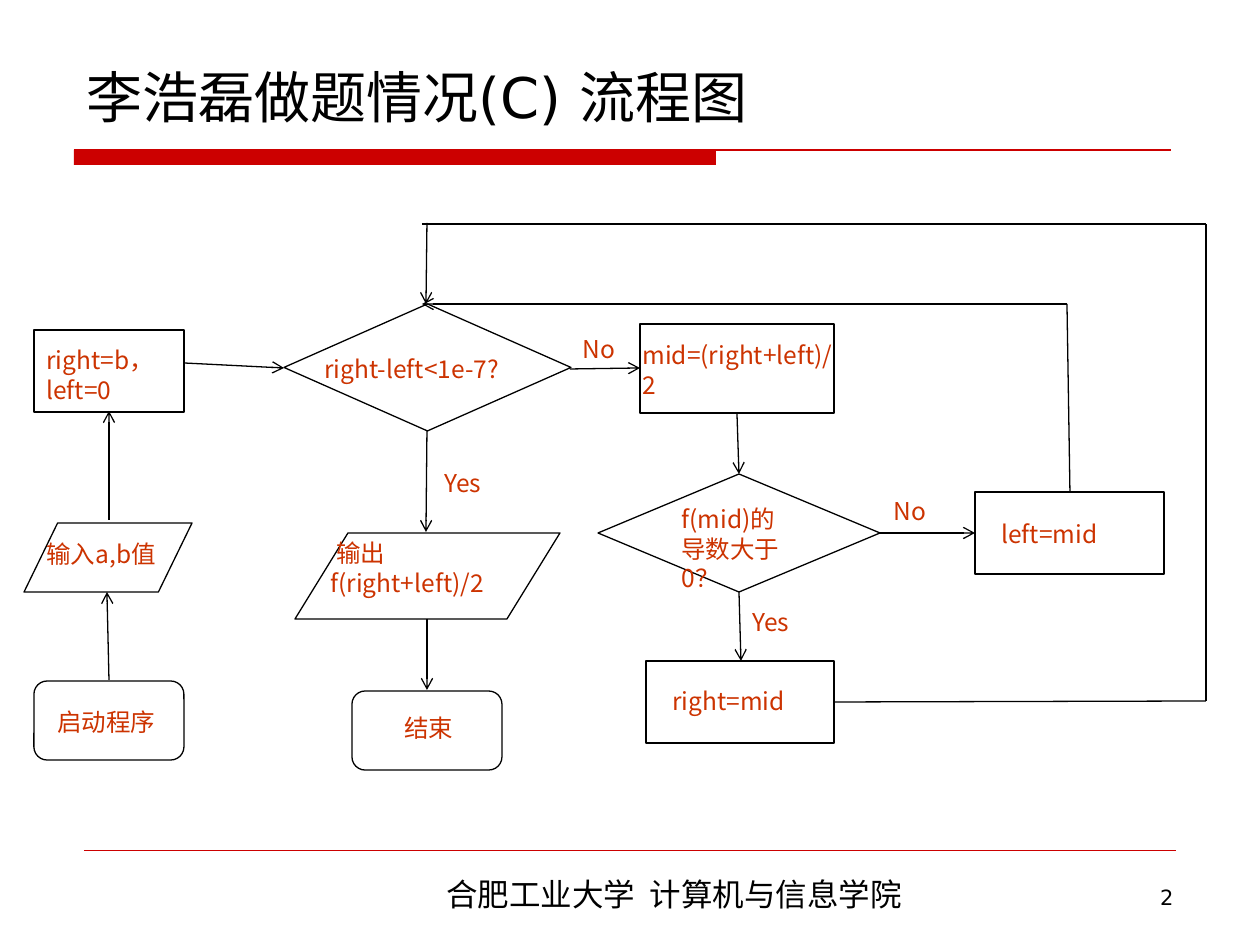
"""Builds a flowchart slide for a bisection program."""
from lxml import etree
from pptx import Presentation
from pptx.dml.color import RGBColor
from pptx.enum.shapes import MSO_CONNECTOR, MSO_SHAPE
from pptx.enum.text import MSO_ANCHOR, MSO_AUTO_SIZE, PP_ALIGN
from pptx.oxml.ns import qn
from pptx.util import Emu, Pt

STRAIGHT = MSO_CONNECTOR.STRAIGHT
RECTANGLE = MSO_SHAPE.RECTANGLE
DECISION = MSO_SHAPE.FLOWCHART_DECISION
TERMINAL = MSO_SHAPE.FLOWCHART_ALTERNATE_PROCESS
DATA = MSO_SHAPE.FLOWCHART_DATA
TOP, BOTTOM = MSO_ANCHOR.TOP, MSO_ANCHOR.BOTTOM
LEFT, CENTER, RIGHT = PP_ALIGN.LEFT, PP_ALIGN.CENTER, PP_ALIGN.RIGHT
FIT, FIXED = MSO_AUTO_SIZE.SHAPE_TO_FIT_TEXT, MSO_AUTO_SIZE.NONE

BLACK, WHITE, RED, ORANGE = "000000", "FFFFFF", "CC0000", "CC3300"
CJK_FONT, LATIN_FONT = "Noto Sans CJK SC", "DejaVu Sans"
ONE_LINE, TWO_LINES = 43, 72

NODES = [
    (RECTANGLE, 34, 330, 150, 82, None),
    (DECISION, 284, 304, 287, 127, None),
    (TERMINAL, 34, 681, 150, 79, WHITE),
    (TERMINAL, 352, 691, 150, 79, WHITE),
    (RECTANGLE, 640, 324, 194, 89, None),
    (DECISION, 598, 474, 282, 118, None),
    (RECTANGLE, 646, 661, 188, 82, None),
    (RECTANGLE, 975, 492, 189, 82, None),
    (DATA, 24, 523, 168, 69, None),
    (DATA, 295, 533, 265, 86, None),
]
ARROWS = [
    (109, 520, 109, 411),
    (184, 363, 284, 368),
    (109, 680, 107, 592),
    (427, 431, 426, 532),
    (427, 619, 427, 690),
    (570, 369, 640, 368),
    (739, 592, 741, 661),
    (737, 413, 739, 474),
    (880, 533, 975, 533),
    (427, 223, 426, 304),
    (1067, 304, 422, 304),
]
RETURN_LINES = [
    (422, 224, 1206, 224),
    (834, 702, 1206, 701),
    (1206, 701, 1206, 224),
    (1070, 492, 1067, 304),
]
LABELS = [
    ("输入a,b值", 34, 533, 203, ONE_LINE),
    ("right=b，left=0", 34, 339, 158, TWO_LINES),
    ("right-left<1e-7?", 312, 348, 257, ONE_LINE),
    ("启动程序", 45, 701, 139, ONE_LINE),
    ("Yes", 432, 462, 93, ONE_LINE),
    ("结束", 392, 707, 123, ONE_LINE),
    ("No", 570, 328, 79, ONE_LINE),
    ("mid=(right+left)/2", 630, 334, 218, TWO_LINES),
    ("f(mid)的\n导数大于0？", 669, 498, 158, TWO_LINES),
    ("right=mid", 660, 680, 161, ONE_LINE),
    ("left=mid", 989, 513, 163, ONE_LINE),
    ("Yes", 740, 601, 93, ONE_LINE),
    ("No", 881, 490, 93, ONE_LINE),
]


def px(length):
    return Emu(round(length * 914400 / 126))


def color(value):
    return RGBColor.from_string(value)


class FlowchartSlide:
    """Holds the drawing style and the current slide."""

    def __init__(self, slide, font=CJK_FONT, size=14, ink=ORANGE, stroke=BLACK):
        self.slide = slide
        self.font, self.size, self.ink, self.stroke = font, size, ink, stroke

    def text(self, text, left, top, width, height, size=None, font=None, ink=None,
             align=LEFT, anchor=TOP, fit=FIT, indent=0):
        box = self.slide.shapes.add_textbox(px(left), px(top), px(width), px(height))
        frame = box.text_frame
        frame.word_wrap = True
        frame.auto_size = fit
        frame.vertical_anchor = anchor
        frame.text = text
        for paragraph in frame.paragraphs:
            paragraph.alignment = align
            if indent:
                paragraph._p.get_or_add_pPr().set("indent", str(px(indent)))
            for run in paragraph.runs:
                run.font.size = Pt(size or self.size)
                run.font.color.rgb = color(ink or self.ink)
                run.font.name = font or self.font
                east_asian = etree.SubElement(run._r.get_or_add_rPr(), qn("a:ea"))
                east_asian.set("typeface", CJK_FONT)

    def shape(self, kind, left, top, width, height, fill=None, outlined=True):
        shape = self.slide.shapes.add_shape(kind, px(left), px(top), px(width), px(height))
        shape.shadow.inherit = False
        if fill:
            shape.fill.solid()
            shape.fill.fore_color.rgb = color(fill)
        else:
            shape.fill.background()
        if outlined:
            shape.line.color.rgb = color(self.stroke)
            shape.line.width = Pt(0.75)
        else:
            shape.line.fill.background()

    def line(self, x1, y1, x2, y2, stroke=None, width=0.75, arrow=False):
        connector = self.slide.shapes.add_connector(STRAIGHT, px(x1), px(y1), px(x2), px(y2))
        connector.line.color.rgb = color(stroke or self.stroke)
        connector.line.width = Pt(width)
        if arrow:
            etree.SubElement(connector.line._get_or_add_ln(), qn("a:tailEnd")).set("type", "arrow")
        etree.SubElement(connector._element.spPr, qn("a:effectLst"))


def main():
    presentation = Presentation()
    presentation.slide_width, presentation.slide_height = px(1260), px(945)
    chart = FlowchartSlide(presentation.slides.add_slide(presentation.slide_layouts[6]))

    chart.shape(RECTANGLE, 74, 150, 642, 15, RED, outlined=False)
    chart.line(74, 150, 1171, 150, RED)
    chart.line(84, 850, 1176, 850, RED, width=0.25)
    chart.text("合肥工业大学  计算机与信息学院", 292, 869, 764, 50, 18, ink=BLACK, align=CENTER)
    chart.text("2", 997, 878, 189, 37, 12, LATIN_FONT, BLACK, RIGHT, fit=FIXED)
    chart.text("李浩磊做题情况(C) 流程图", 74, 33, 1102, 103, 32, LATIN_FONT, BLACK,
               anchor=BOTTOM, fit=FIXED)

    for node in NODES:
        chart.shape(*node)
    for arrow in ARROWS:
        chart.line(*arrow, arrow=True)
    for return_line in RETURN_LINES:
        chart.line(*return_line)
    for label in LABELS:
        chart.text(*label)
    chart.text("输出f(right+left)/2", 318, 532, 218, TWO_LINES, indent=6)

    presentation.save("out.pptx")


if __name__ == "__main__":
    main()
